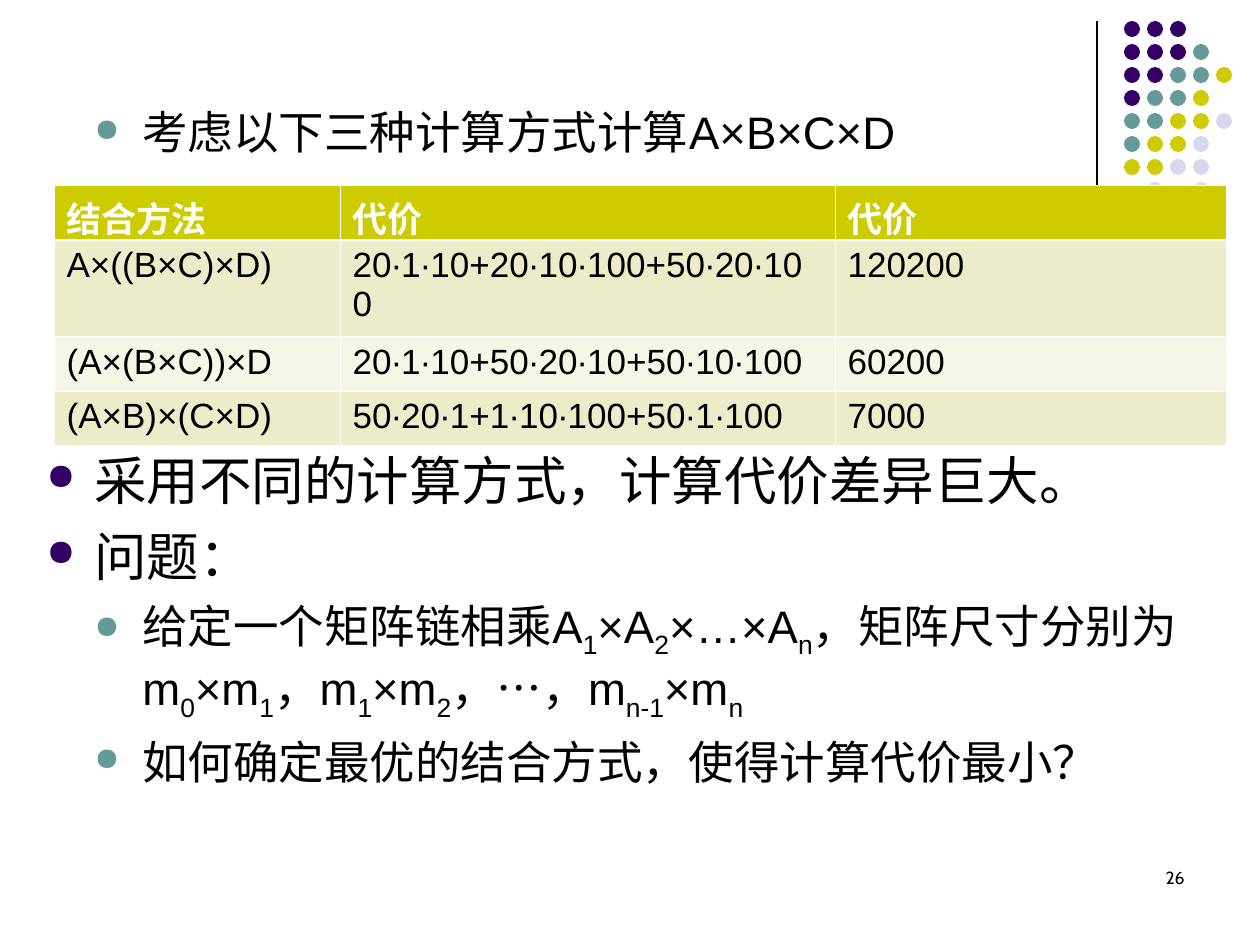
"""Build the slide on the cost of matrix chain multiplication orders."""
from dataclasses import dataclass

from lxml import etree
from pptx import Presentation
from pptx.dml.color import RGBColor
from pptx.enum.shapes import MSO_CONNECTOR, MSO_SHAPE
from pptx.enum.text import PP_ALIGN
from pptx.oxml.ns import qn
from pptx.slide import Slide
from pptx.util import Emu, Pt

OVAL = MSO_SHAPE.OVAL
STRAIGHT = MSO_CONNECTOR.STRAIGHT
RIGHT = PP_ALIGN.RIGHT
PX_PER_INCH = 126


@dataclass(frozen=True)
class Theme:
    """Colours, fonts and type sizes of the slide."""
    purple: str = "330066"
    teal: str = "669999"
    lime: str = "CCCC00"
    lilac: str = "D8D8EC"
    band: str = "ECECCB"
    light_band: str = "F6F6E7"
    black: str = "000000"
    white: str = "FFFFFF"
    font: str = "Arial"
    number_font: str = "Cabin"
    main_size: int = 30
    sub_size: int = 26
    table_size: int = 20
    number_size: int = 10


THEME = Theme()


@dataclass(frozen=True)
class Bullet:
    """A bulleted paragraph; text between bars is subscript."""
    text: str
    level: int
    before: float


DOT_COLOURS = {"P": THEME.purple, "T": THEME.teal, "L": THEME.lime, "G": THEME.lilac}
DOT_ROWS = ("PPP", "PPPT", "PPTTL", "PTTL", "TTLLG", "TLLG", "LLGG", " G G")
BULLETS = (
    Bullet("考虑以下三种计算方式计算A×B×C×D", 1, 6.5),
    Bullet("采用不同的计算方式，计算代价差异巨大。", 0, 165),
    Bullet("问题：", 0, 7.5),
    Bullet("给定一个矩阵链相乘A|1|×A|2|×…×A|n|，矩阵尺寸分别为"
           "m|0|×m|1|，m|1|×m|2|，…，m|n-1|×m|n|", 1, 6.5),
    Bullet("如何确定最优的结合方式，使得计算代价最小？", 1, 6.5),
)
COST_ROWS = (
    ("结合方法", "代价", "代价"),
    ("A×((B×C)×D)", "20∙1∙10+20∙10∙100+50∙20∙100", "120200"),
    ("(A×(B×C))×D", "20∙1∙10+50∙20∙10+50∙10∙100", "60200"),
    ("(A×B)×(C×D)", "50∙20∙1+1∙10∙100+50∙1∙100", "7000"),
)
COLUMN_WIDTHS = (286, 495, 391)
ROW_HEIGHT = 54


def px(length: int) -> Emu:
    """Turn pixels into EMU."""
    return Emu(round(length * 914400 / PX_PER_INCH))


def rgb(colour: str) -> RGBColor:
    """Turn a hex string into a colour."""
    return RGBColor.from_string(colour)


def style_font(font, size: float, colour: str, name: str = THEME.font) -> None:
    """Set the size, colour and typeface of a font."""
    font.size, font.name = Pt(size), name
    font.color.rgb = rgb(colour)


def draw_ornament(slide: Slide) -> None:
    """Draw the vertical rule and the grid of dots."""
    rule = slide.shapes.add_connector(STRAIGHT, px(1097), px(21), px(1097), px(231))
    rule.line.color.rgb, rule.line.width = rgb(THEME.black), Pt(0.75)
    etree.SubElement(rule._element.spPr, qn("a:effectLst"))
    for row, codes in enumerate(DOT_ROWS):
        for column, code in enumerate(codes):
            if code in DOT_COLOURS:
                dot = slide.shapes.add_shape(
                    OVAL, px(1124 + 23 * column), px(21 + 23 * row), px(16), px(16))
                dot.shadow.inherit = False
                dot.fill.solid()
                dot.fill.fore_color.rgb = rgb(DOT_COLOURS[code])
                dot.line.fill.background()


def write_bullet(para, bullet: Bullet) -> None:
    """Write one bulleted paragraph with its subscripts."""
    size = (THEME.main_size, THEME.sub_size)[bullet.level]
    for index, part in enumerate(bullet.text.split("|")):
        if part:
            span = para.add_run()
            span.text = part
            style_font(span.font, size, THEME.black)
            if index % 2:
                span._r.get_or_add_rPr().set("baseline", "-25000")
    para.level, para.space_before = bullet.level, Pt(bullet.before)
    properties = para._p.get_or_add_pPr()
    properties.set("marL", str(px(48 * (bullet.level + 1))))
    properties.set("indent", str(-px(48)))
    colour = etree.SubElement(properties, qn("a:buClr"))
    etree.SubElement(colour, qn("a:srgbClr"), val=(THEME.purple, THEME.teal)[bullet.level])
    etree.SubElement(properties, qn("a:buSzPct"), val="70000")
    etree.SubElement(properties, qn("a:buChar"), char="●")


def draw_bullets(slide: Slide) -> None:
    """Draw the body text, leaving room for the table."""
    box = slide.shapes.add_textbox(px(34), px(98), px(1200), px(747))
    frame = box.text_frame
    frame.word_wrap = True
    for index, bullet in enumerate(BULLETS):
        write_bullet(frame.add_paragraph() if index else frame.paragraphs[0], bullet)


def draw_page_number(slide: Slide) -> None:
    """Draw the page number at the lower right."""
    box = slide.shapes.add_textbox(px(903), px(861), px(294), px(63))
    box.text_frame.word_wrap = True
    box.text_frame.text = "26"
    para = box.text_frame.paragraphs[0]
    para.alignment = RIGHT
    style_font(para.runs[0].font, THEME.number_size, THEME.black, THEME.number_font)


def set_borders(cell, top: float, bottom: float) -> None:
    """Give a cell white borders, placed ahead of its fill."""
    properties = cell._tc.get_or_add_tcPr()
    sides = (("lnL", 0.45), ("lnR", 0.45), ("lnT", top), ("lnB", bottom))
    for index, (side, width) in enumerate(sides):
        line = etree.Element(qn(f"a:{side}"), w=str(Pt(width)))
        fill = etree.SubElement(line, qn("a:solidFill"))
        etree.SubElement(fill, qn("a:srgbClr"), val=THEME.white)
        properties.insert(index, line)


def draw_cost_table(slide: Slide) -> None:
    """Draw the table of association orders and costs."""
    table = slide.shapes.add_table(
        len(COST_ROWS), len(COLUMN_WIDTHS), px(54), px(185),
        px(sum(COLUMN_WIDTHS)), px(ROW_HEIGHT * len(COST_ROWS))).table
    table.first_row = table.horz_banding = False
    for column, width in zip(table.columns, COLUMN_WIDTHS):
        column.width = px(width)
    fills = (THEME.lime, THEME.band, THEME.light_band, THEME.band)
    for row, (texts, colour) in enumerate(zip(COST_ROWS, fills)):
        table.rows[row].height = px(ROW_HEIGHT)
        header = row == 0
        for column, text in enumerate(texts):
            cell = table.cell(row, column)
            cell.text = text
            cell.fill.solid()
            cell.fill.fore_color.rgb = rgb(colour)
            font = cell.text_frame.paragraphs[0].runs[0].font
            style_font(font, THEME.table_size, THEME.white if header else THEME.black)
            font.bold = header
            set_borders(cell, 1.47 if row == 1 else 0.45, 1.47 if header else 0.45)


def main() -> None:
    """Build and save the deck."""
    deck = Presentation()
    deck.slide_width, deck.slide_height = px(1260), px(945)
    page = deck.slides.add_slide(deck.slide_layouts[6])
    draw_ornament(page)
    draw_bullets(page)
    draw_page_number(page)
    draw_cost_table(page)
    deck.save("out.pptx")


if __name__ == "__main__":
    main()
